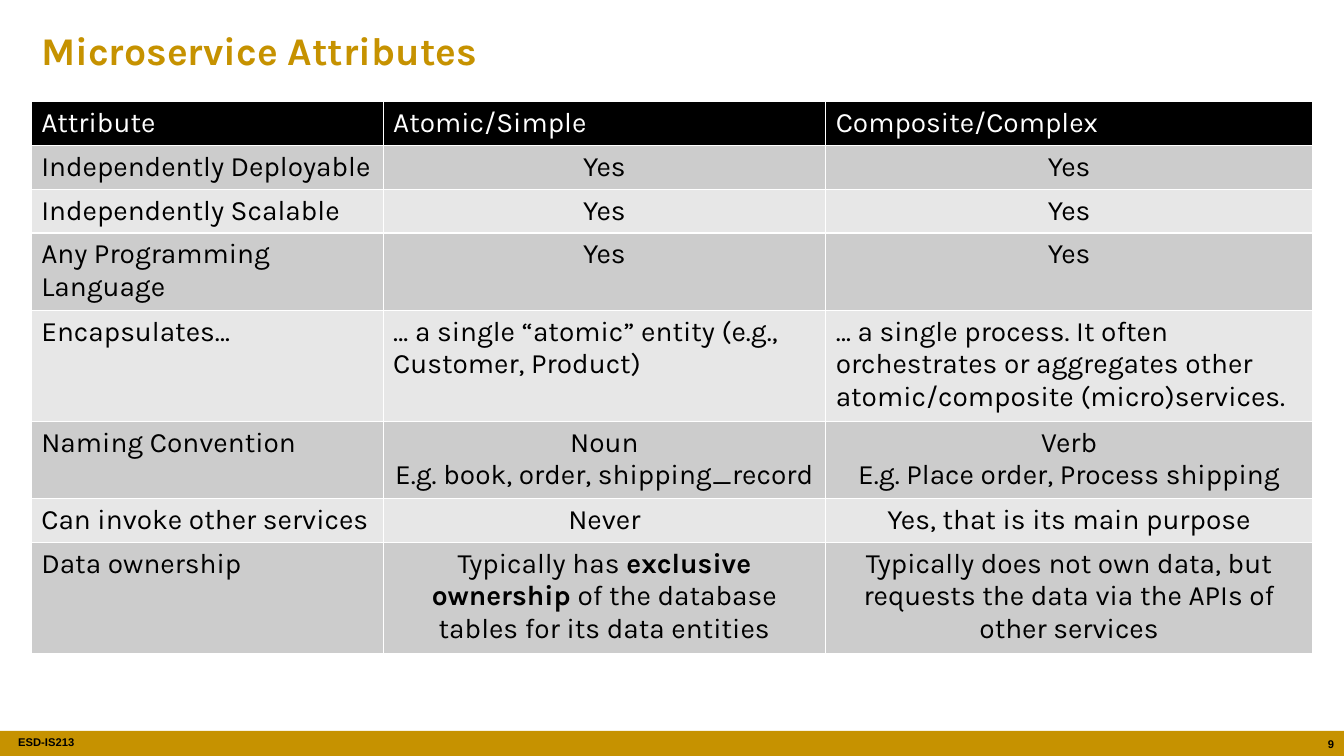
from lxml.etree import SubElement
from pptx import Presentation
from pptx.dml.color import RGBColor
from pptx.enum.shapes import MSO_SHAPE
from pptx.enum.text import MSO_ANCHOR, PP_ALIGN
from pptx.oxml.ns import qn
from pptx.util import Inches, Pt

GOLD = RGBColor(0xC6, 0x92, 0x00)
BLACK = RGBColor(0x00, 0x00, 0x00)
WHITE = RGBColor(0xFF, 0xFF, 0xFF)
DARK_BAND = RGBColor(0xCC, 0xCC, 0xCC)
LIGHT_BAND = RGBColor(0xE7, 0xE7, 0xE7)

WIDTH, HEIGHT = 13.33, 7.5
MARGIN = 0.31
CONTENT_WIDTH = WIDTH - 2 * MARGIN
FOOTER_HEIGHT = HEIGHT / 30
COLUMN_WIDTHS = [3.49, 4.39, 4.83]
LINE_HEIGHT, ROW_PADDING = 0.32, 0.11
CENTRE, LEFT, RIGHT = PP_ALIGN.CENTER, PP_ALIGN.LEFT, PP_ALIGN.RIGHT

# Each row: lines of text it needs, alignment of its answers, cell texts
ROWS = [
    (1, LEFT, ["Attribute", "Atomic/Simple", "Composite/Complex"]),
    (1, CENTRE, ["Independently Deployable", "Yes", "Yes"]),
    (1, CENTRE, ["Independently Scalable", "Yes", "Yes"]),
    (2, CENTRE, ["Any Programming Language", "Yes", "Yes"]),
    (3, LEFT, ["Encapsulates…",
               "… a single “atomic” entity (e.g., Customer, Product)",
               "… a single process. It often orchestrates or aggregates other "
               "atomic/composite (micro)services."]),
    (2, CENTRE, ["Naming Convention",
                 "Noun\nE.g. book, order, shipping_record",
                 "Verb\nE.g. Place order, Process shipping"]),
    (1, CENTRE, ["Can invoke other services", "Never",
                 "Yes, that is its main purpose"]),
    (3, CENTRE, ["Data ownership",
                 "Typically has *exclusive ownership* of the database tables "
                 "for its data entities",
                 "Typically does not own data, but requests the data via the "
                 "APIs of other services"]),
]


def write(frame, text, font, size, color, align, bold=False):
    """Fill a text frame; words between asterisks turn bold."""
    frame.text = text.replace("*", "")
    for paragraph, line in zip(frame.paragraphs, text.split("\n")):
        paragraph.alignment = align
        paragraph.text = ""
        for index, part in enumerate(line.split("*")):
            run = paragraph.add_run()
            run.text = part
            run.font.name, run.font.size = font, Pt(size)
            run.font.color.rgb = color
            run.font.bold = bold or index % 2 == 1


def add_label(left, top, width, height, inset, *style):
    frame = slide.shapes.add_textbox(
        Inches(left), Inches(top), Inches(width), Inches(height)).text_frame
    frame.word_wrap = True
    frame.margin_left = frame.margin_right = Inches(inset)
    frame.vertical_anchor = MSO_ANCHOR.MIDDLE
    write(frame, *style)


prs = Presentation()
prs.slide_width, prs.slide_height = Inches(WIDTH), Inches(HEIGHT)
slide = prs.slides.add_slide(prs.slide_layouts[6])

# Footer bar with course code and page number
footer_top = HEIGHT - FOOTER_HEIGHT
footer = slide.shapes.add_shape(
    MSO_SHAPE.RECTANGLE, 0, Inches(footer_top), prs.slide_width, Inches(FOOTER_HEIGHT))
footer.shadow.inherit = False
footer.fill.solid()
footer.fill.fore_color.rgb = GOLD
footer.line.fill.background()
add_label(0.18, footer_top - 0.01, 1.72, FOOTER_HEIGHT, 0,
          "ESD-IS213", "Arial", 8, BLACK, LEFT, True)
add_label(WIDTH - 0.39, footer_top + 0.01, 0.39, FOOTER_HEIGHT, 0.1,
          "9", "Arial", 8, BLACK, RIGHT, True)

# Title
add_label(MARGIN, 0.21, CONTENT_WIDTH, 0.57, 0.1,
          "Microservice Attributes", "Karla", 28, GOLD, LEFT, True)

# Attribute table
row_heights = [lines * LINE_HEIGHT + ROW_PADDING for lines, _, _ in ROWS]
attributes = slide.shapes.add_table(
    len(ROWS), len(COLUMN_WIDTHS), Inches(MARGIN), Inches(1.01),
    Inches(CONTENT_WIDTH), Inches(sum(row_heights))).table
attributes.horz_banding = False
for column, width in zip(attributes.columns, COLUMN_WIDTHS):
    column.width = Inches(width)

for r, (_, answer_align, texts) in enumerate(ROWS):
    attributes.rows[r].height = Inches(row_heights[r])
    band = BLACK if r == 0 else DARK_BAND if r % 2 else LIGHT_BAND
    for c, text in enumerate(texts):
        cell = attributes.cell(r, c)
        write(cell.text_frame, text, "Karla", 20, WHITE if r == 0 else BLACK,
              answer_align if c else LEFT)
        # Borders go before the fill in the cell properties
        properties = cell._tc.get_or_add_tcPr()
        for side in ("a:lnL", "a:lnR", "a:lnT", "a:lnB"):
            border = SubElement(properties, qn(side), w=str(Pt(1)))
            SubElement(SubElement(border, qn("a:solidFill")),
                       qn("a:srgbClr"), val=str(WHITE))
        cell.fill.solid()
        cell.fill.fore_color.rgb = band

prs.save("out.pptx")
